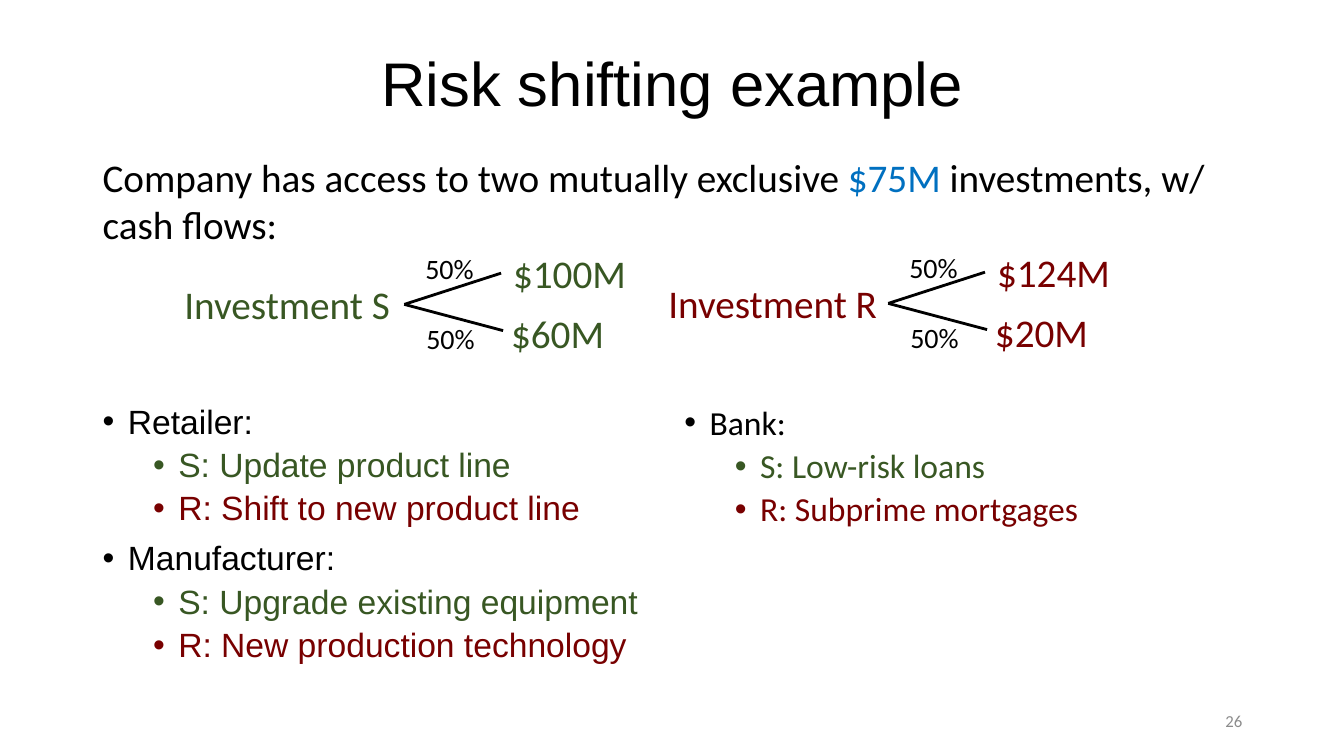
import lxml.etree
import pptx
import pptx.dml.color
import pptx.enum.shapes
import pptx.enum.text
import pptx.oxml.ns
import pptx.util
from dataclasses import dataclass

PX = 9144  # 100 px to the inch


@dataclass(frozen=True)
class Theme:
    black: str = "000000"
    safe: str = "385723"
    risky: str = "780000"
    amount: str = "0070C0"
    muted: str = "8C8C8C"
    heading_font: str = "Arial"
    body_font: str = "Calibri"
    title: int = 44
    lead: int = 28
    bullet: int = 24
    chance: int = 20
    number: int = 12


theme = Theme()
align = pptx.enum.text.PP_ALIGN
anchor = pptx.enum.text.MSO_ANCHOR
fit = pptx.enum.text.MSO_AUTO_SIZE


def add_run(paragraph, text, size, color, font=theme.body_font):
    run = paragraph.add_run()
    run.text = text
    run.font.size = pptx.util.Pt(size)
    run.font.name = font
    run.font.color.rgb = pptx.dml.color.RGBColor.from_string(color)


def add_box(shapes, left, top, width, height, auto_size=fit.SHAPE_TO_FIT_TEXT):
    box = shapes.add_textbox(left * PX, top * PX, width * PX, height * PX)
    box.text_frame.word_wrap = True
    box.text_frame.auto_size = auto_size
    return box.text_frame


presentation = pptx.Presentation()
presentation.slide_width = 1333 * PX
presentation.slide_height = 750 * PX
slide = presentation.slides.add_slide(presentation.slide_layouts[5])

# Title
title = slide.shapes.title
title.left, title.top, title.width, title.height = 92 * PX, 40 * PX, 1150 * PX, 91 * PX
title.text_frame.auto_size = fit.NONE
title.text_frame.vertical_anchor = anchor.MIDDLE
paragraph = title.text_frame.paragraphs[0]
paragraph.alignment = align.CENTER
paragraph.line_spacing = 0.9
add_run(paragraph, "Risk shifting example", theme.title, theme.black, theme.heading_font)

# Lead sentence
paragraph = add_box(slide.shapes, 92, 147, 1150, 104).paragraphs[0]
for text, color in [
    ("Company has access to two mutually exclusive ", theme.black),
    ("$75M ", theme.amount),
    ("investments, w/ cash flows:", theme.black),
]:
    add_run(paragraph, text, theme.lead, color)

# Payoff trees, the second one a shifted repeat of the first
for name, high, low, color, shift, lift in [
    ("Investment S", "$100M", "$60M", theme.safe, 0, 0),
    ("Investment R", "$124M", "$20M", theme.risky, 480, 1),
]:
    tree = slide.shapes.add_group_shape().shapes
    for text, left, top, width, height, size, text_color in [
        (name, 173, 273, 232, 57, theme.lead, color),
        (high, 499, 242, 141, 57, theme.lead, color),
        (low, 497, 302, 132, 57, theme.lead, color),
        ("50%", 412, 245, 74, 44, theme.chance, theme.black),
        ("50%", 413, 314, 74, 44, theme.chance, theme.black),
    ]:
        frame = add_box(tree, left + shift, top - lift, width, height)
        add_run(frame.paragraphs[0], text, size, text_color)
    for end_x, end_y in [(497, 271), (499, 328)]:
        branch = tree.add_connector(
            pptx.enum.shapes.MSO_CONNECTOR.STRAIGHT,
            (401 + shift) * PX, (302 - lift) * PX,
            (end_x + shift) * PX, (end_y - lift) * PX,
        )
        branch.line.width = pptx.util.Pt(2)
        branch.line.color.rgb = pptx.dml.color.RGBColor.from_string(theme.black)
        lxml.etree.SubElement(branch._element.spPr, pptx.oxml.ns.qn("a:effectLst"))

# Bulleted examples by industry
for left, top, width, font, industries in [
    (92, 397, 680, theme.heading_font, [
        ("Retailer:", "S: Update product line", "R: Shift to new product line"),
        ("Manufacturer:", "S: Upgrade existing equipment", "R: New production technology"),
    ]),
    (669, 398, 534, theme.body_font, [
        ("Bank:", "S: Low-risk loans", "R: Subprime mortgages"),
    ]),
]:
    frame = add_box(slide.shapes, left, top, width, 329, fit.NONE)
    paragraph = frame.paragraphs[0]
    for industry in industries:
        for text, color, level in zip(industry, (theme.black, theme.safe, theme.risky), (0, 1, 1)):
            if paragraph.runs:
                paragraph = frame.add_paragraph()
            paragraph.level = level
            paragraph.line_spacing = 0.9
            paragraph.space_before = pptx.util.Pt(5 if level else 10)
            properties = paragraph._element.get_or_add_pPr()
            properties.set("marL", str((25 + 50 * level) * PX))
            properties.set("indent", str(-25 * PX))
            for tag, key, value in [("a:buFont", "typeface", "Arial"), ("a:buChar", "char", "•")]:
                lxml.etree.SubElement(properties, pptx.oxml.ns.qn(tag)).set(key, value)
            add_run(paragraph, text, theme.bullet, color, font)

# Slide number
frame = add_box(slide.shapes, 942, 695, 300, 40, fit.NONE)
frame.vertical_anchor = anchor.MIDDLE
frame.paragraphs[0].alignment = align.RIGHT
add_run(frame.paragraphs[0], "26", theme.number, theme.muted)

presentation.save("out.pptx")
